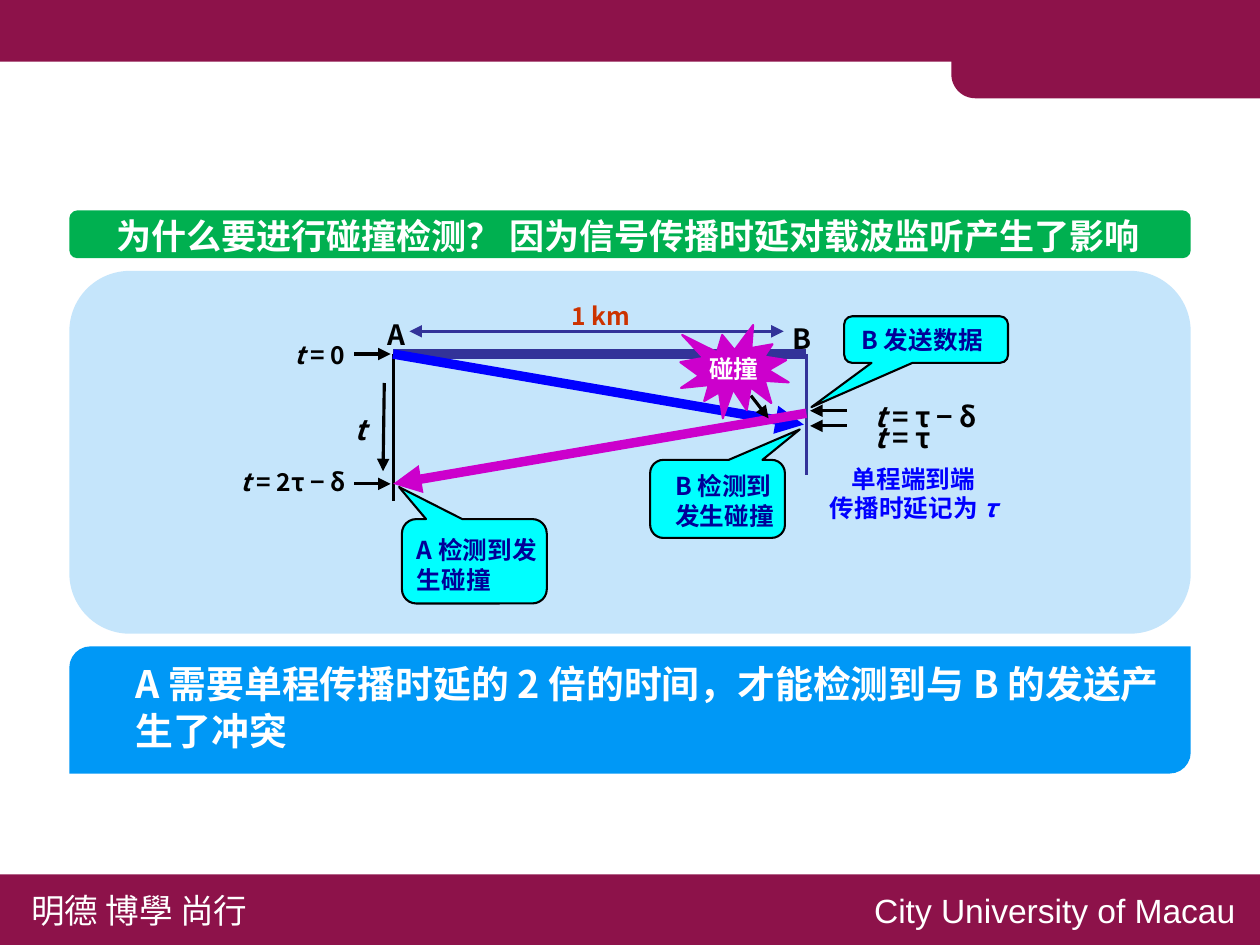
from dataclasses import dataclass

from lxml import etree
from pptx import Presentation
from pptx.dml.color import RGBColor
from pptx.enum.shapes import MSO_CONNECTOR, MSO_SHAPE
from pptx.enum.text import MSO_ANCHOR, MSO_AUTO_SIZE, PP_ALIGN
from pptx.oxml.ns import qn
from pptx.util import Inches, Pt

RECT = MSO_SHAPE.RECTANGLE
ROUNDED = MSO_SHAPE.ROUNDED_RECTANGLE
ONE_ROUND = MSO_SHAPE.ROUND_1_RECTANGLE
TWO_DIAGONAL = MSO_SHAPE.ROUND_2_DIAG_RECTANGLE
BURST = MSO_SHAPE.EXPLOSION1
CALLOUT = MSO_SHAPE.ROUNDED_RECTANGULAR_CALLOUT
STRAIGHT = MSO_CONNECTOR.STRAIGHT
LEFT, CENTER = PP_ALIGN.LEFT, PP_ALIGN.CENTER
MIDDLE = MSO_ANCHOR.MIDDLE
GROW = MSO_AUTO_SIZE.SHAPE_TO_FIT_TEXT

SLIDE_WIDTH, SLIDE_HEIGHT = Inches(8.33), Inches(6.25)
COLUMNS, ROWS = 100, 75
CJK = "Noto Sans CJK SC"
COLORS = {
    "maroon": "8D124A", "white": "FFFFFF", "green": "00B050", "panel": "C5E5FB",
    "blue": "0098F6", "cable": "333399", "black": "000000", "signal": "0000FF",
    "collision": "CC00CC", "distance": "CC3300", "callout": "00FFFF", "note": "000099",
}


@dataclass
class Region:
    """A box on the slide grid; its parts are placed from its top left corner."""
    page: object
    left: float
    top: float
    width: float
    height: float

    def point(self, x, y):
        return (round((self.left + x) * SLIDE_WIDTH / COLUMNS),
                round((self.top + y) * SLIDE_HEIGHT / ROWS))

    def frame(self, x, y, width, height):
        return (*self.point(x, y), round(width * SLIDE_WIDTH / COLUMNS),
                round(height * SLIDE_HEIGHT / ROWS))


def color(name):
    return RGBColor.from_string(COLORS[name])


def add_block(region, kind, fill, area=None, outline=None, adjustments=()):
    area = area or (0, 0, region.width, region.height)
    block = region.page.shapes.add_shape(kind, *region.frame(*area))
    block.shadow.inherit = False
    block.fill.solid()
    block.fill.fore_color.rgb = color(fill)
    if outline:
        block.line.color.rgb = color(outline)
        block.line.width = Pt(1)
    else:
        block.line.fill.background()
    for index, value in enumerate(adjustments):
        block.adjustments[index] = value
    return block


def add_span(para, text, size, tint, bold=True, italic=False, typeface=CJK):
    span = para.add_run()
    span.text = text
    font = span.font
    font.size, font.bold, font.italic = Pt(size), bold, italic
    font.color.rgb = color(tint)
    font.name = typeface
    etree.SubElement(font._element, qn("a:ea")).set("typeface", typeface)


def add_label(region, area, lines, size, tint, align=LEFT, wrap=False,
              tight=False, bold=True, typeface=CJK):
    """Each line is a list of spans; a span is its text and whether it is italic."""
    box = region.page.shapes.add_textbox(*region.frame(*area))
    frame = box.text_frame
    frame.word_wrap = wrap
    frame.auto_size = GROW
    if tight:
        frame.margin_left = frame.margin_right = Inches(0.08)
        frame.margin_top = frame.margin_bottom = Inches(0.04)
    for index, spans in enumerate(lines):
        para = frame.add_paragraph() if index else frame.paragraphs[0]
        para.alignment = align
        for text, italic in spans:
            add_span(para, text, size, tint, bold, italic, typeface)
    return frame


def add_line(region, start, end, tint, width=1.5, head=False, tail=False):
    line = region.page.shapes.add_connector(
        STRAIGHT, *region.point(*start), *region.point(*end))
    line.line.color.rgb = color(tint)
    line.line.width = Pt(width)
    outline = line.line._get_or_add_ln()
    for present, tag in ((head, "a:headEnd"), (tail, "a:tailEnd")):
        if present:
            etree.SubElement(outline, qn(tag)).set("type", "triangle")
    etree.SubElement(line._element.spPr, qn("a:effectLst"))


def add_header(region):
    add_block(region, RECT, "maroon")
    tab = add_block(region, ONE_ROUND, "maroon", (75.5, 0.2, 24.5, 7.6), adjustments=[0.25])
    tab.rotation = 180


def add_footer(region):
    add_block(region, RECT, "maroon")
    for area, text, typeface in (((1.3, 0.6, 20.2, 4.4), "明德 博學 尚行", CJK),
                                 ((68.2, 0.6, 31.4, 4.4), "City University of Macau", "Arial")):
        add_label(region, area, [[(text, False)]], 16, "white", bold=False, typeface=typeface)


def add_question(region):
    add_block(region, ROUNDED, "green")
    add_label(region, (1.5, -0.3, 85.7, 4.6),
              [[("为什么要进行碰撞检测？ 因为信号传播时延对载波监听产生了影响", False)]],
              16.7, "white", CENTER, wrap=True)


def add_signals(region, station_a, station_b, start):
    add_line(region, (station_a, start), (station_b, start), "cable", 4.5)
    add_line(region, (27, 4.8), (56.7, 4.8), "cable", head=True, tail=True)
    add_line(region, (station_a, start), (station_a, 18.3), "black")
    add_line(region, (station_a, start), (58.3, 12.2), "signal", 4.5, tail=True)
    add_line(region, (25, 8.9), (24.9, 15.9), "black", tail=True)
    add_line(region, (station_b, start), (station_b, 16.2), "cable")
    add_line(region, (station_b, 11.3), (station_a, 16.9), "collision", 4.5, tail=True)
    add_line(region, (54.1, 9.9), (55.5, 11.7), "black", tail=True)

    for y in (start, 16.9):
        add_line(region, (22.6, y), (25.5, y), "black", tail=True)
    for y in (11.1, 12.3):
        add_line(region, (61.7, y), (58.8, y), "black", tail=True)


def add_collision(region):
    burst = add_block(region, BURST, "collision", (48.5, 4.3, 8.6, 7.4), "collision")
    frame = burst.text_frame
    frame.word_wrap = False
    frame.vertical_anchor = MIDDLE
    para = frame.paragraphs[0]
    para.alignment = CENTER
    add_span(para, "碰撞", 11.7, "white")


def add_callouts(region):
    for area, pointer, text_area, text in (
            ((26.4, 19.7, 11.5, 6.7), (-0.52, -0.88), (26.4, 20.4, 13, 5.9), "A 检测到发生碰撞"),
            ((61.5, 3.6, 13, 3.7), (-0.7, 1.45), (61.7, 3.7, 14, 3.6), "B 发送数据"),
            ((46.1, 15, 10.7, 6.2), (0.61, -0.89), (46.9, 15.3, 11.4, 5.9), "B 检测到发生碰撞")):
        add_block(region, CALLOUT, "callout", area, "black", [*pointer, 0.17])
        add_label(region, text_area, [[(text, False)]], 11.7, "note", wrap=True)


def add_times(region):
    for area, size, value in (((16.7, 4.9, 7.1, 3.6), 11.7, " = 0"),
                              ((12.4, 15, 11.2, 3.6), 11.7, " = 2τ − δ"),
                              ((62.7, 9.6, 11.6, 4), 13.3, " = τ − δ"),
                              ((62.7, 11.3, 7.6, 4), 13.3, " = τ")):
        add_label(region, area, [[("t", True), (value, False)]], size, "black")
    for area, text, italic, size, tint in (
            ((38.9, 1.9, 7, 3.4), "1 km", False, 11.7, "distance"),
            ((24.3, 3.2, 3.7, 3.7), "A", False, 13.3, "black"),
            ((56.4, 3.5, 3.5, 3.7), "B", False, 13.3, "black"),
            ((21.7, 10.8, 2.9, 3.7), "t", True, 13.3, "black")):
        add_label(region, area, [[(text, italic)]], size, tint, tight=True)
    add_label(region, (58.9, 14.7, 16.2, 5.9),
              [[("单程端到端", False)], [("传播时延记为 ", False), ("τ", True)]],
              11.7, "signal", CENTER)


def add_diagram(region):
    add_block(region, ROUNDED, "panel")
    add_signals(region, station_a=25.7, station_b=58.5, start=6.6)
    add_collision(region)
    add_callouts(region)
    add_times(region)


def add_conclusion(region):
    add_block(region, TWO_DIAGONAL, "blue")
    frame = add_label(region, (4.1, 0.4, 84.2, 8.8),
                      [[("A 需要单程传播时延的 2 倍的时间，才能检测到与 B 的发送产生了冲突", False)]],
                      18, "white", wrap=True)
    frame.paragraphs[0].line_spacing = Pt(22.5)


def main():
    deck = Presentation()
    deck.slide_width, deck.slide_height = SLIDE_WIDTH, SLIDE_HEIGHT
    page = deck.slides.add_slide(deck.slide_layouts[6])
    add_header(Region(page, 0, 0, COLUMNS, 4.9))
    add_footer(Region(page, 0, 69.4, COLUMNS, 5.6))
    add_question(Region(page, 5.5, 16.7, 89, 3.8))
    add_diagram(Region(page, 5.5, 21.5, 89, 28.8))
    add_conclusion(Region(page, 5.5, 51.3, 89, 10.1))
    deck.save("out.pptx")


if __name__ == "__main__":
    main()
